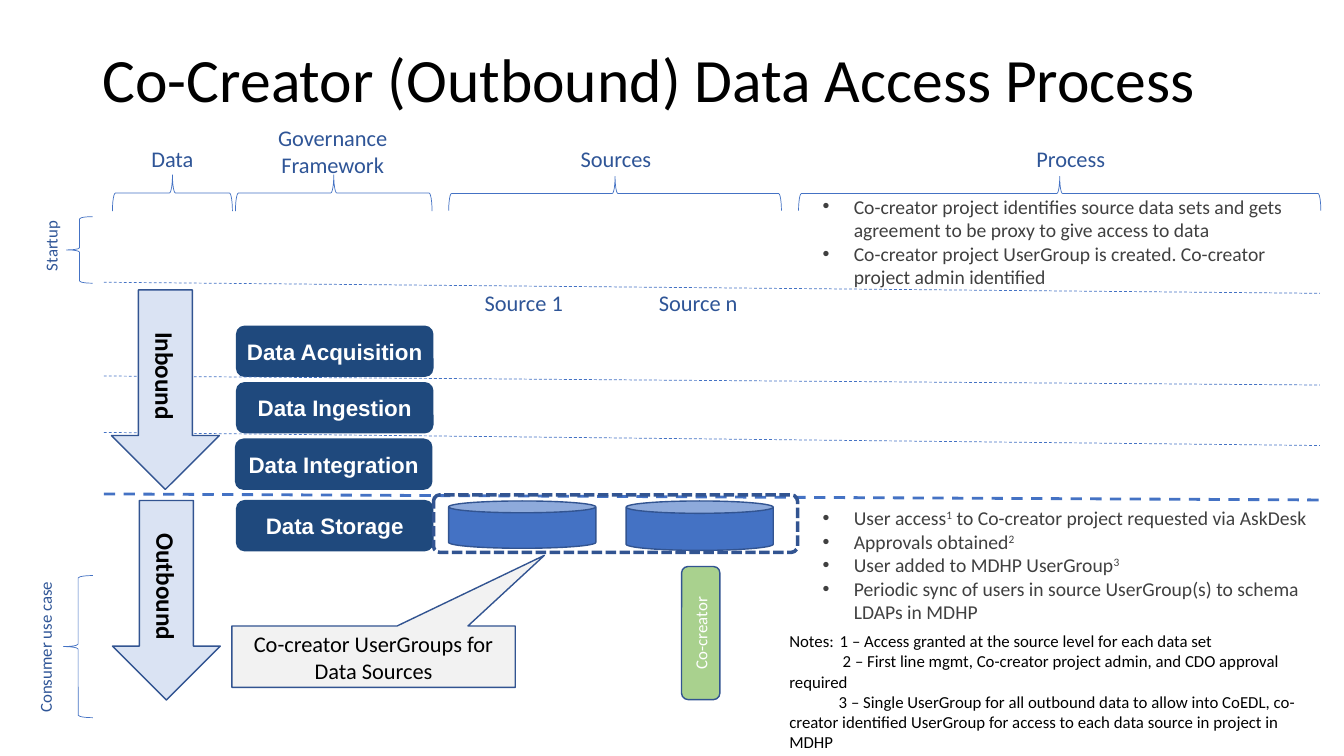
from lxml import etree
from pptx import Presentation
from pptx.dml.color import RGBColor
from pptx.enum.dml import MSO_LINE_DASH_STYLE as Dash
from pptx.enum.shapes import MSO_CONNECTOR, MSO_SHAPE as Shape
from pptx.enum.text import MSO_ANCHOR as Anchor, PP_ALIGN as Align
from pptx.oxml.ns import qn
from pptx.util import Inches, Pt

BLACK = RGBColor(0x00, 0x00, 0x00)
WHITE = RGBColor(0xFF, 0xFF, 0xFF)
GREY = RGBColor(0x40, 0x40, 0x40)
PALE_GREY = RGBColor(0xF2, 0xF2, 0xF2)
NAVY = RGBColor(0x1F, 0x49, 0x7D)
BLUE = RGBColor(0x44, 0x72, 0xC4)
LABEL_BLUE = RGBColor(0x2F, 0x55, 0x97)
EDGE_BLUE = RGBColor(0x32, 0x54, 0x91)
PALE_BLUE = RGBColor(0xDA, 0xE3, 0xF3)
GREEN = RGBColor(0xA9, 0xD1, 0x8E)

TITLE = "Co-Creator (Outbound) Data Access Process"
HEADINGS = [  # text, left, top, width, height
    ("Data", 0.66, 1.39, 2.1, 0.37),
    ("Governance Framework", 2.25, 1.18, 2.1, 0.64),
    ("Sources", 5.06, 1.39, 2.1, 0.37),
    ("Process", 9.57, 1.39, 2.1, 0.37),
    ("Source 1", 4.39, 2.82, 1.61, 0.38),
    ("Source n", 6.12, 2.82, 1.61, 0.38),
]
SIDE_LABELS = [  # text, left, top, width, height before rotation
    ("Startup", -0.17, 2.29, 1.35, 0.3),
    ("Consumer use case", -0.32, 6.27, 1.54, 0.3),
]
BRACES = [  # left, top, width, height, rotation
    (1.53, 1.32, 0.36, 1.19, 90),
    (3.13, 0.94, 0.36, 1.95, 90),
    (5.93, 0.27, 0.34, 3.3, 90),
    (10.34, -0.67, 0.34, 5.18, 90),
    (0.66, 2.15, 0.26, 0.66, 0),
    (0.63, 5.71, 0.29, 1.41, 0),
]
STAGES = [  # text, left, top
    ("Data Acquisition", 2.34, 3.23),
    ("Data Ingestion", 2.34, 3.79),
    ("Data Integration", 2.33, 4.35),
    ("Data Storage", 2.34, 4.96),
]
DIVIDERS = [  # left end, right end, line width
    (2.8, 2.91, 0.5),
    (3.73, 3.82, 0.5),
    (4.29, 4.42, 0.5),
    (4.9, 4.96, 2),
]
DIRECTIONS = [("Inbound", 0.65, 3.33), ("Outbound", 0.66, 5.42)]
SOURCE_CANS = [(4.45, 0.47), (6.21, 0.49)]  # left, height
# A caret starts and ends a superscript.
STARTUP_STEPS = [
    "Co-creator project identifies source data sets and gets agreement to be proxy to give access to data",
    "Co-creator project UserGroup is created. Co-creator project admin identified",
]
OUTBOUND_STEPS = [
    "User access^1^ to Co-creator project requested via AskDesk",
    "Approvals obtained^2^",
    "User added to MDHP UserGroup^3^",
    "Periodic sync of users in source UserGroup(s) to schema LDAPs in MDHP",
]
NOTES = [
    "Notes:\t1 – Access granted at the source level for each data set",
    "2 – First line mgmt, Co-creator project admin, and CDO approval required",
    "3 – Single UserGroup for all outbound data to allow into CoEDL, "
    "co-creator identified UserGroup for access to each data source in project in MDHP",
]
NOTE_INDENTS = [0, 0.53, 0.49]

deck = Presentation()
deck.slide_width, deck.slide_height = Inches(13.33), Inches(7.5)
page = deck.slides.add_slide(deck.slide_layouts[6])


def write(box, lines, size, color, font="Calibri", bold=False,
          align=Align.CENTER, anchor=Anchor.MIDDLE, wrap=True):
    frame = box.text_frame
    frame.word_wrap = wrap
    frame.vertical_anchor = anchor
    for index, line in enumerate(lines):
        para = frame.add_paragraph() if index else frame.paragraphs[0]
        para.alignment = align
        for part, text in enumerate(line.split("^")):
            if not text:
                continue
            span = para.add_run()
            span.text = text
            span.font.size, span.font.bold = Pt(size), bold
            span.font.name, span.font.color.rgb = font, color
            if part % 2:
                span.font._element.set("baseline", "30000")
    return frame.paragraphs


def add_text(at, lines, size, color, rotation=0, **style):
    box = page.shapes.add_textbox(*map(Inches, at))
    box.rotation = rotation
    return write(box, lines, size, color, **{"anchor": Anchor.TOP, **style})


def add_block(kind, at, fill=None, line=None, width=1, rotation=0, adjust=()):
    block = page.shapes.add_shape(kind, *map(Inches, at))
    block.shadow.inherit = False
    block.rotation = rotation
    for index, value in enumerate(adjust):
        block.adjustments[index] = value
    if fill is None:
        block.fill.background()
    else:
        block.fill.solid()
        block.fill.fore_color.rgb = fill
    if line is None:
        block.line.fill.background()
    else:
        block.line.color.rgb, block.line.width = line, Pt(width)
    return block


def indent(para, margin, first):
    properties = para._p.get_or_add_pPr()
    properties.set("marL", str(Inches(margin)))
    properties.set("indent", str(Inches(first)))
    return properties


def add_bullets(at, lines):
    for para in add_text(at, lines, 14, GREY, align=Align.LEFT):
        properties = indent(para, 0.31, -0.31)
        etree.SubElement(properties, qn("a:buFont")).set("typeface", "Arial")
        etree.SubElement(properties, qn("a:buChar")).set("char", "•")


title = add_text((0.92, 0.09, 11.69, 1.45), [TITLE], 44, BLACK,
                 align=Align.LEFT, anchor=Anchor.MIDDLE)
title[0].line_spacing = 0.9

for text, left, top in STAGES:
    stage = add_block(Shape.ROUNDED_RECTANGLE, (left, top, 1.96, 0.51), NAVY, adjust=[0.167])
    write(stage, [text], 16, WHITE, font="Arial", bold=True, wrap=False)

for start, end, width in DIVIDERS:
    divider = page.shapes.add_connector(
        MSO_CONNECTOR.STRAIGHT, Inches(1.03), Inches(start), Inches(13.09), Inches(end))
    divider.line.color.rgb, divider.line.width = BLUE, Pt(width)
    divider.line.dash_style = Dash.DASH
    etree.SubElement(divider._element.spPr, qn("a:effectLst"))

for text, left, top in DIRECTIONS:
    arrow = add_block(Shape.RIGHT_ARROW, (left, top, 1.98, 1.07), PALE_BLUE, EDGE_BLUE, rotation=90)
    write(arrow, [text], 18, BLACK, bold=True)

for *at, rotation in BRACES:
    add_block(Shape.LEFT_BRACE, at, line=BLUE, width=0.5, rotation=rotation)
for text, *at in HEADINGS:
    add_text(at, [text], 16, LABEL_BLUE)
for text, *at in SIDE_LABELS:
    add_text(at, [text], 12, LABEL_BLUE, rotation=270)

add_bullets((8.06, 1.88, 5.03, 1.04), STARTUP_STEPS)
add_bullets((8.06, 4.97, 5.28, 1.28), OUTBOUND_STEPS)
notes = add_text((7.73, 6.21, 5.49, 1.11), NOTES, 12, BLACK, align=Align.LEFT)
for para, first in zip(notes, NOTE_INDENTS):
    tabs = etree.SubElement(indent(para, 0, first), qn("a:tabLst"))
    stop = etree.SubElement(tabs, qn("a:tab"))
    stop.set("pos", str(Inches(0.53)))
    stop.set("algn", "l")

for left, height in SOURCE_CANS:
    add_block(Shape.CAN, (left, 4.97, 1.46, height), BLUE, EDGE_BLUE)
callout = add_block(Shape.RECTANGULAR_CALLOUT, (2.3, 6.21, 2.81, 0.61),
                    PALE_GREY, EDGE_BLUE, adjust=[0.603, -1.649])
write(callout, ["Co-creator UserGroups for Data Sources"], 16, BLACK)
creator = add_block(Shape.ROUNDED_RECTANGLE, (6.29, 6.09, 1.32, 0.38),
                    GREEN, EDGE_BLUE, rotation=270)
write(creator, ["Co-creator"], 12, WHITE)
storage_frame = add_block(Shape.ROUNDED_RECTANGLE, (4.3, 4.91, 3.61, 0.57),
                          line=EDGE_BLUE, width=2.5, adjust=[0.107])
storage_frame.line.dash_style = Dash.SQUARE_DOT

deck.save("out.pptx")
